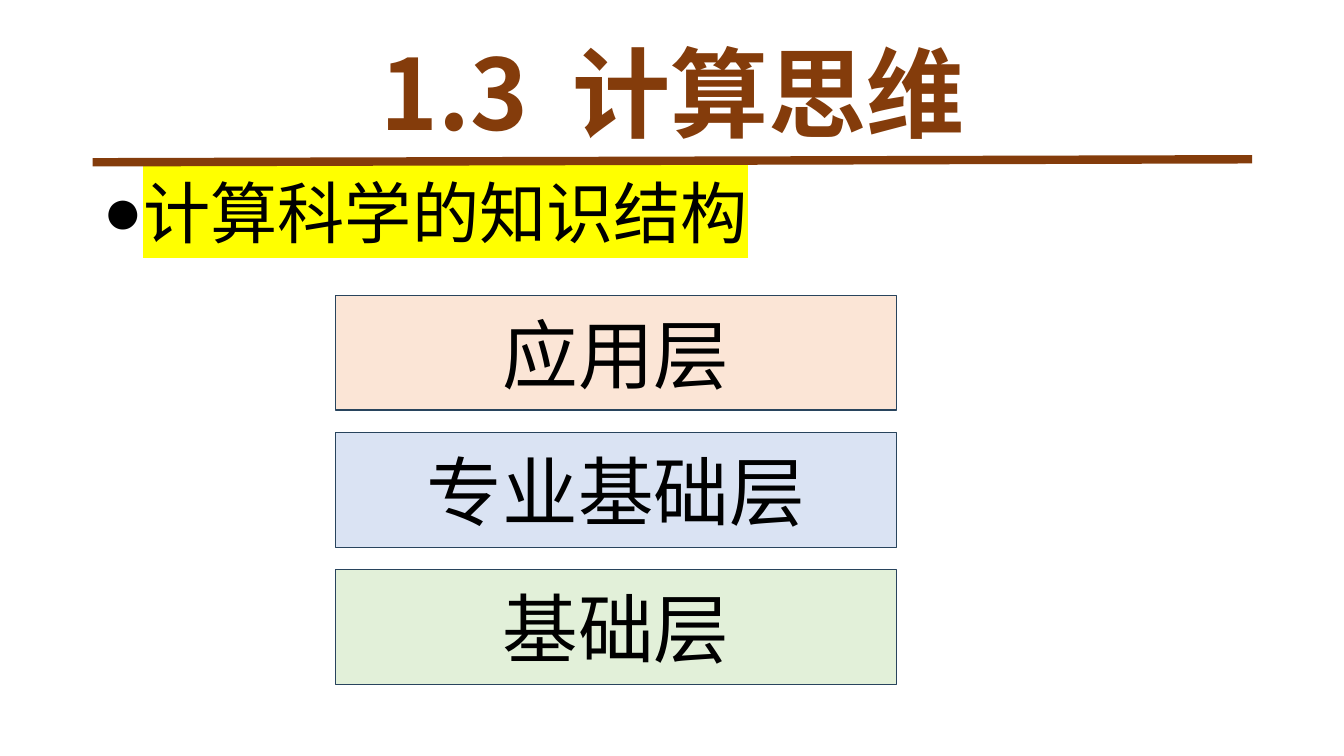
from dataclasses import dataclass

from lxml import etree
from pptx import Presentation
from pptx.dml.color import RGBColor
from pptx.enum.shapes import MSO_CONNECTOR, MSO_SHAPE
from pptx.enum.text import MSO_ANCHOR, PP_ALIGN
from pptx.oxml.ns import qn
from pptx.util import Inches, Pt

CENTER = PP_ALIGN.CENTER
MIDDLE = MSO_ANCHOR.MIDDLE
RECTANGLE = MSO_SHAPE.RECTANGLE
STRAIGHT = MSO_CONNECTOR.STRAIGHT


@dataclass(frozen=True)
class Theme:
    font: str = "Noto Sans CJK SC"
    bullet_font: str = "Arial"
    brown: str = "843C0B"
    text: str = "000000"
    highlight: str = "FFFF00"
    outline: str = "28445D"
    title_size: int = 70
    heading_size: int = 48
    layer_size: int = 54


THEME = Theme()
LAYERS = [("应用层", "FBE5D6"), ("专业基础层", "DAE3F3"), ("基础层", "E2F0D9")]


def color(value):
    return RGBColor.from_string(value)


def style_paragraph(paragraph, size, text_color, bold=False):
    font = paragraph.font
    font.name = THEME.font
    font.size = Pt(size)
    font.bold = bold
    font.color.rgb = color(text_color)
    properties = paragraph._p.get_or_add_pPr().find(qn("a:defRPr"))
    etree.SubElement(properties, qn("a:ea"), typeface=THEME.font)


def add_text_frame(slide, left, top, width, height):
    box = slide.shapes.add_textbox(Inches(left), Inches(top), Inches(width), Inches(height))
    box.text_frame.word_wrap = True
    return box.text_frame


def add_title(slide, left, top, width, height):
    frame = add_text_frame(slide, left, top, width, height)
    frame.vertical_anchor = MIDDLE
    paragraph = frame.paragraphs[0]
    paragraph.alignment = CENTER
    paragraph.line_spacing = 0.9
    for text in ("1.3", " ", "计算思维"):
        run = paragraph.add_run()
        run.text = text
        if text == " ":
            # Widen the gap after the section number.
            run._r.get_or_add_rPr().set("spc", "1570")
    style_paragraph(paragraph, THEME.title_size, THEME.brown, bold=True)


def add_title_rule(slide, left, top, width, rise):
    rule = slide.shapes.add_connector(
        STRAIGHT, Inches(left), Inches(top), Inches(left + width), Inches(top - rise))
    rule.line.color.rgb = color(THEME.brown)
    rule.line.width = Pt(6)
    etree.SubElement(rule._element.spPr, qn("a:effectLst"))


def add_heading(slide, left, top, width, height):
    """Place the bulleted, highlighted heading."""
    paragraph = add_text_frame(slide, left, top, width, height).paragraphs[0]
    paragraph.line_spacing = 0.8
    properties = paragraph._p.get_or_add_pPr()
    properties.set("marL", str(Inches(0.25)))
    properties.set("indent", str(Inches(-0.25)))
    etree.SubElement(properties, qn("a:buFont"), typeface=THEME.bullet_font)
    etree.SubElement(properties, qn("a:buChar"), char="●")
    run = paragraph.add_run()
    run.text = "计算科学的知识结构"
    highlight = etree.SubElement(run._r.get_or_add_rPr(), qn("a:highlight"))
    etree.SubElement(highlight, qn("a:srgbClr"), val=THEME.highlight)
    style_paragraph(paragraph, THEME.heading_size, THEME.text)


def add_layers(slide, left, top, width, height, gap):
    """Stack the knowledge layers inside the box with equal gaps."""
    layer_height = (height - gap * (len(LAYERS) - 1)) / len(LAYERS)
    for index, (name, fill) in enumerate(LAYERS):
        layer_top = top + index * (layer_height + gap)
        layer = slide.shapes.add_shape(
            RECTANGLE, Inches(left), Inches(layer_top), Inches(width), Inches(layer_height))
        layer.shadow.inherit = False
        layer.fill.solid()
        layer.fill.fore_color.rgb = color(fill)
        layer.line.color.rgb = color(THEME.outline)
        layer.line.width = Pt(1)
        layer.text_frame.vertical_anchor = MIDDLE
        paragraph = layer.text_frame.paragraphs[0]
        paragraph.text = name
        paragraph.alignment = CENTER
        style_paragraph(paragraph, THEME.layer_size, THEME.text)


def main():
    presentation = Presentation()
    presentation.slide_width = Inches(13.33)
    presentation.slide_height = Inches(7.5)
    slide = presentation.slides.add_slide(presentation.slide_layouts[6])
    left, width = 0.92, 11.5
    add_title(slide, left, 0.25, width, 1.45)
    add_heading(slide, left, 1.81, width, 5.17)
    add_title_rule(slide, left, 1.61, width, rise=0.03)
    add_layers(slide, 3.33, 2.93, 5.56, 3.86, gap=0.22)
    presentation.save("out.pptx")


if __name__ == "__main__":
    main()
